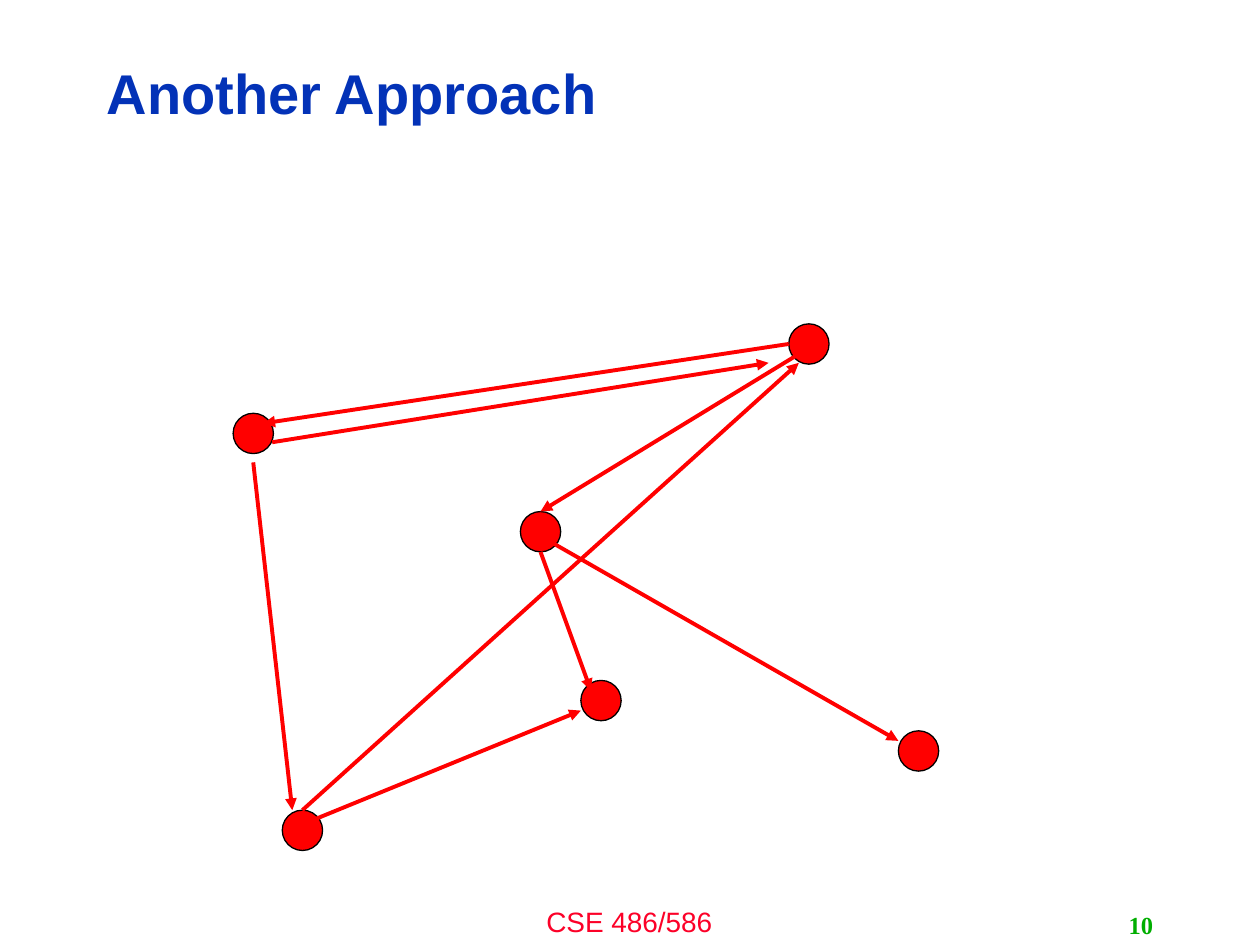
from pptx import Presentation
from pptx.dml.color import RGBColor
from pptx.enum.shapes import MSO_CONNECTOR as Connector, MSO_SHAPE as Shape
from pptx.enum.text import MSO_ANCHOR as Anchor, PP_ALIGN as Align
from pptx.oxml.ns import qn
from pptx.util import Inches, Pt
from lxml.etree import SubElement

THEME = {
    "title": ("Arial", 32, "0332B7", True),
    "footer": ("Arial", 16, "FC0128", False),
    "number": ("Times New Roman", 14, "00AE00", True),
    "node": "FF0000",
    "outline": "000000",
}
NODE_SIZE = 0.32

deck = Presentation()
deck.slide_width, deck.slide_height = Inches(10), Inches(7.5)
page = deck.slides.add_slide(deck.slide_layouts[6])


def add_text(text, style, bounds, align, anchor):
    box = page.shapes.add_textbox(*map(Inches, bounds))
    frame = box.text_frame
    frame.text = text
    frame.word_wrap = True
    frame.vertical_anchor = anchor
    para = frame.paragraphs[0]
    para.alignment = align
    font = para.runs[0].font
    font.name, size, color, font.bold = THEME[style]
    font.size = Pt(size)
    font.color.rgb = RGBColor.from_string(color)
    return para


add_text("CSE 486/586", "footer", (3.33, 7.13, 3.33, 0.37), Align.CENTER, Anchor.TOP)
title = add_text("Another Approach", "title", (0.75, 0.36, 7.98, 0.81), Align.LEFT, Anchor.MIDDLE)
title.line_spacing = 0.9
add_text("10", "number", (7.17, 7.18, 2.08, 0.32), Align.RIGHT, Anchor.MIDDLE)

nodes = [(1.85, 3.28), (4.61, 5.4), (2.24, 6.43), (7.13, 5.8), (4.13, 4.06), (6.26, 2.57)]
for left, top in nodes:
    node = page.shapes.add_shape(
        Shape.OVAL, Inches(left), Inches(top), Inches(NODE_SIZE), Inches(NODE_SIZE))
    node.shadow.inherit = False
    node.fill.solid()
    node.fill.fore_color.rgb = RGBColor.from_string(THEME["node"])
    node.line.color.rgb = RGBColor.from_string(THEME["outline"])
    node.line.width = Pt(0.75)

arrows = [
    (2.48, 6.51, 4.61, 5.64),
    (2.4, 6.43, 6.34, 2.88),
    (4.29, 4.38, 4.69, 5.48),
    (4.37, 4.3, 7.13, 5.88),
    (6.26, 2.73, 2.09, 3.36),
    (2.01, 3.67, 2.32, 6.43),
    (2.16, 3.51, 6.1, 2.88),
    (6.34, 2.81, 4.29, 4.06),
]
for ends in arrows:
    arrow = page.shapes.add_connector(Connector.STRAIGHT, *map(Inches, ends))
    arrow.line.color.rgb = RGBColor.from_string(THEME["node"])
    arrow.line.width = Pt(2.25)
    SubElement(arrow.line._get_or_add_ln(), qn("a:tailEnd"), type="triangle")
    SubElement(arrow._element.spPr, qn("a:effectLst"))

deck.save("out.pptx")
